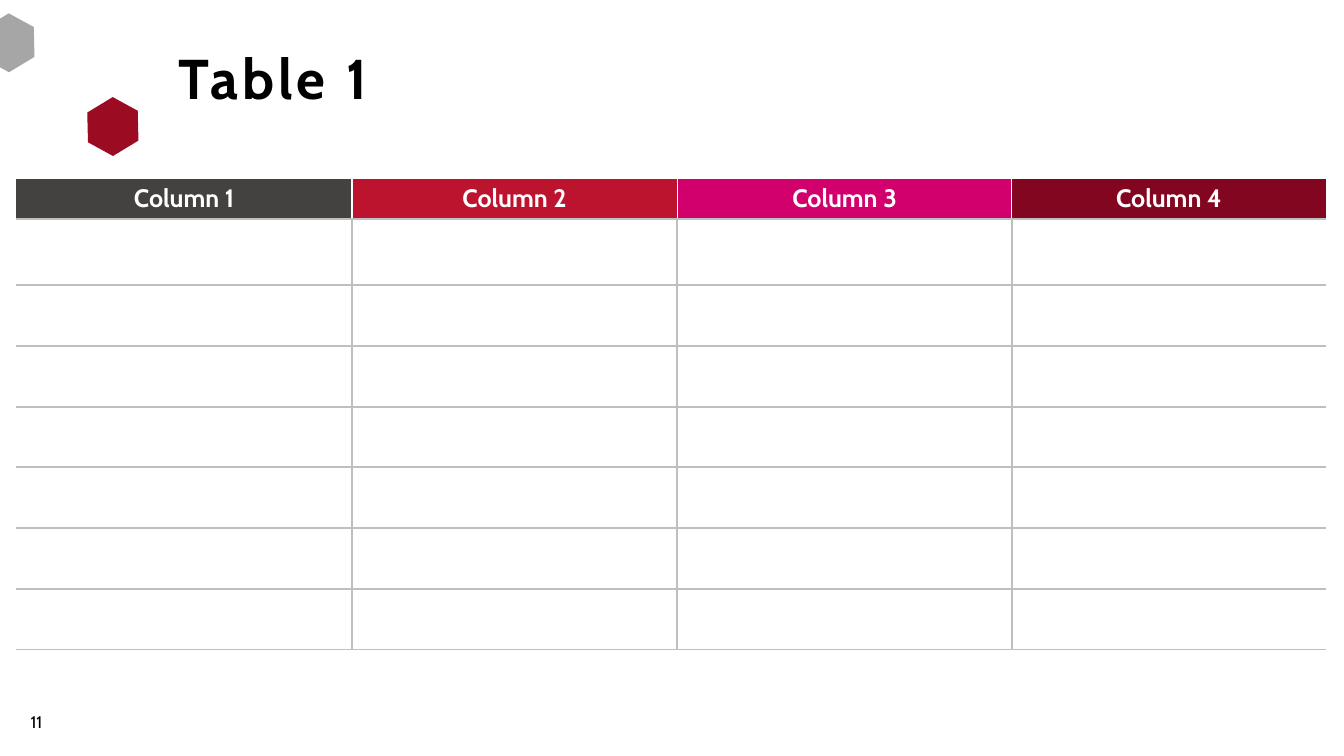
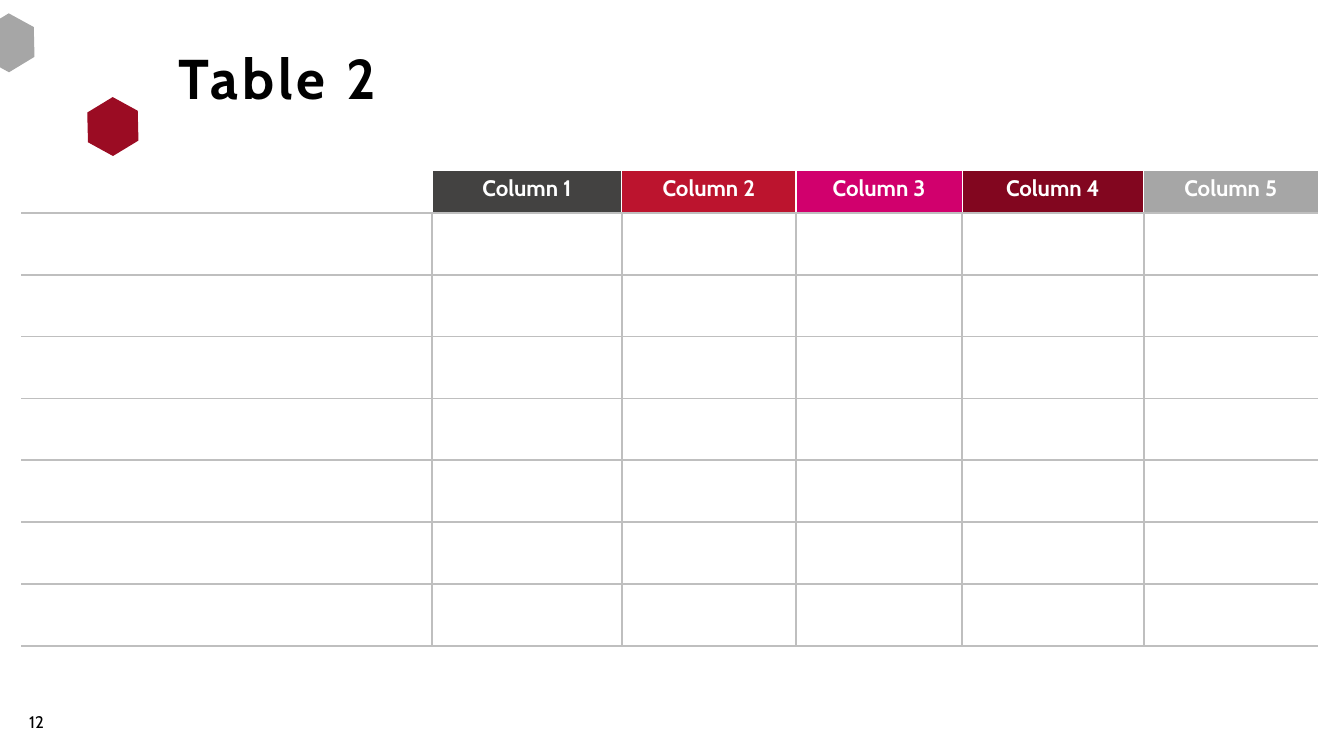
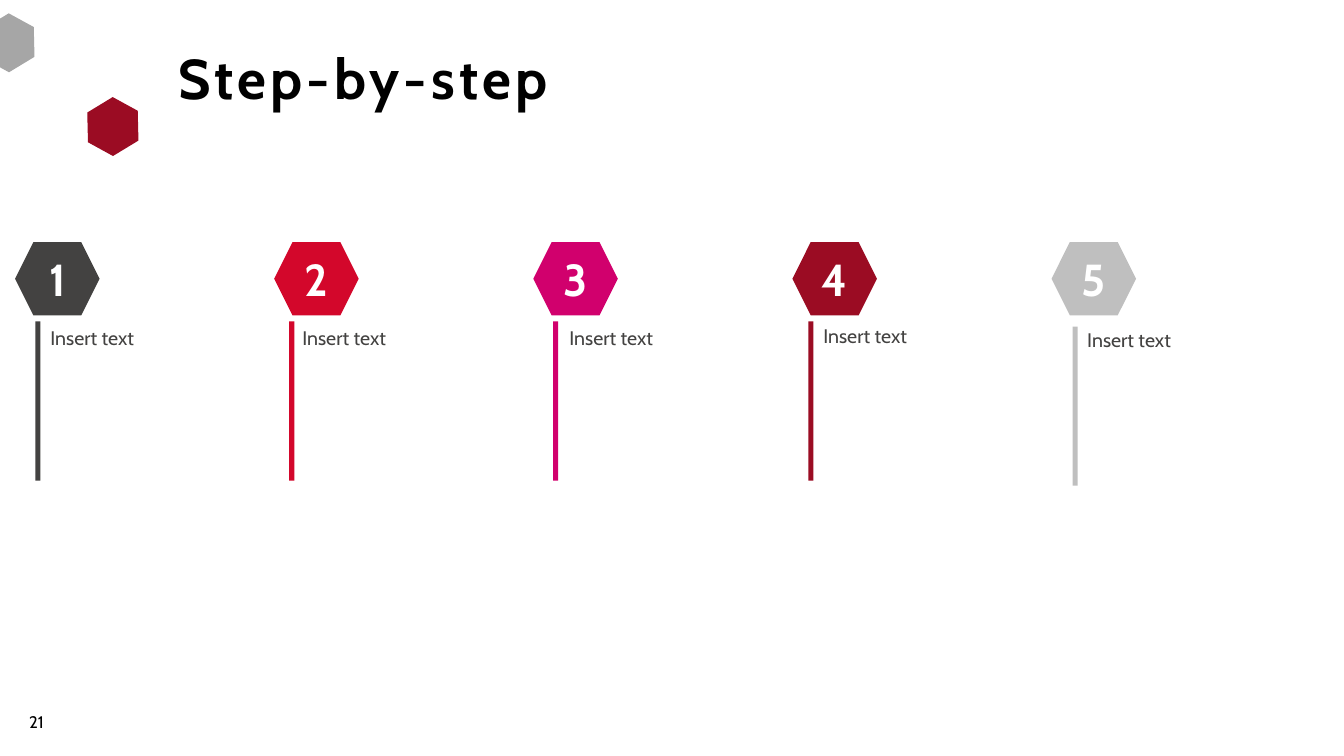
from pptx import Presentation
from pptx.dml.color import RGBColor
from pptx.enum.shapes import MSO_SHAPE
from pptx.enum.text import MSO_ANCHOR, PP_ALIGN
from pptx.oxml.ns import qn
from pptx.util import Cm, Pt
from lxml import etree

HEXAGON, RECTANGLE = MSO_SHAPE.HEXAGON, MSO_SHAPE.RECTANGLE
TOP, MIDDLE = MSO_ANCHOR.TOP, MSO_ANCHOR.MIDDLE
LEFT, CENTER = PP_ALIGN.LEFT, PP_ALIGN.CENTER

BLACK = RGBColor(0x00, 0x00, 0x00)
WHITE = RGBColor(0xFF, 0xFF, 0xFF)
CHARCOAL = RGBColor(0x43, 0x42, 0x41)
RED = RGBColor(0xBC, 0x14, 0x2E)
BRIGHT_RED = RGBColor(0xD3, 0x07, 0x2B)
MAGENTA = RGBColor(0xD1, 0x00, 0x6D)
MAROON = RGBColor(0x82, 0x06, 0x1F)
CRIMSON = RGBColor(0x9B, 0x0C, 0x23)
GREY = RGBColor(0xA6, 0xA6, 0xA6)
LIGHT_GREY = RGBColor(0xBF, 0xBF, 0xBF)

FONT = "Cabin"
TITLE_FORMAT = {"size": Pt(40), "bold": True}
NUMBER_FORMAT = {"size": Pt(12)}
STEP_FORMAT = {"size": Pt(32), "bold": True}
NOTE_FORMAT = {"size": Pt(14)}

# Content; lengths are in centimetres
CORNER_HEXAGONS = [(-0.51, 0.43, GREY), (2.11, 2.54, CRIMSON)]
HEADER_COLORS = [CHARCOAL, RED, MAGENTA, MAROON, GREY]
TABLES = [
    {"title": "Table 1", "number": 11, "at": (0.41, 4.5),
     "headers": ["Column 1", "Column 2", "Column 3", "Column 4"],
     "widths": [8.46, 8.2, 8.43, 7.92], "heights": [1, 1.67] + [1.53] * 6,
     "size": 18, "anchor": MIDDLE},
    {"title": "Table 2", "number": 12, "at": (0.53, 4.29),
     "headers": ["", "Column 1", "Column 2", "Column 3", "Column 4", "Column 5"],
     "widths": [10.36, 4.78, 4.39, 4.19, 4.57, 4.39], "heights": [1.07] + [1.56] * 7,
     "size": 16, "anchor": TOP},
]
# Text, colour, bar left and top, text left and top
STEPS = [
    ("Insert text", CHARCOAL, (0.89, 8.1), (1.02, 8.1)),
    ("Insert text", BRIGHT_RED, (7.29, 8.1), (7.37, 8.1)),
    ("Insert text", MAGENTA, (13.94, 8.1), (14.1, 8.1)),
    ("Insert text", CRIMSON, (20.37, 8.1), (20.5, 8.05)),
    ("Insert text", LIGHT_GREY, (27.03, 8.23), (27.15, 8.13)),
]
STEP_LEFT, STEP_PITCH, STEP_TOP = 0.38, 6.53, 6.1


def write(frame, text, color, formats, align=LEFT, anchor=MIDDLE):
    frame.word_wrap = True
    frame.vertical_anchor = anchor
    para = frame.paragraphs[0]
    para.alignment = align
    span = para.add_run()
    span.text = text
    span.font.name = FONT
    span.font.color.rgb = color
    for name, value in formats.items():
        setattr(span.font, name, value)
    return para


def no_margins(frame):
    for side in ("left", "top", "right", "bottom"):
        setattr(frame, "margin_" + side, 0)


def add_box(page, left, top, width, height):
    return page.shapes.add_textbox(Cm(left), Cm(top), Cm(width), Cm(height)).text_frame


def add_block(page, kind, left, top, width, height, color):
    shape = page.shapes.add_shape(kind, Cm(left), Cm(top), Cm(width), Cm(height))
    shape.shadow.inherit = False
    shape.fill.solid()
    shape.fill.fore_color.rgb = color
    shape.line.fill.background()
    return shape


def add_page(deck, title, number):
    page = deck.slides.add_slide(deck.slide_layouts[6])
    for left, top, color in CORNER_HEXAGONS:
        corner = add_block(page, HEXAGON, left, top, 1.47, 1.3, color)
        corner.adjustments[0] = 0.289
        corner.rotation = 28.7
    frame = add_box(page, 0.36, 17.91, 1.12, 0.58)
    no_margins(frame)
    write(frame, str(number), BLACK, NUMBER_FORMAT, CENTER)
    para = write(add_box(page, 4.24, 0.79, 28.58, 2.54), title, BLACK, TITLE_FORMAT)
    para.line_spacing = 0.9
    para.space_before = Pt(10)
    para.runs[0].font._element.set("spc", "300")
    return page


def set_borders(cell, borders):
    """Draw the given sides as (colour, points); the other sides stay empty."""
    properties = cell._tc.get_or_add_tcPr()
    for side in "LRTB":
        color, points = borders.get(side, (None, 0))
        line = etree.SubElement(properties, qn("a:ln" + side), w=str(int(Pt(points))))
        if color is None:
            etree.SubElement(line, qn("a:noFill"))
        else:
            fill = etree.SubElement(line, qn("a:solidFill"))
            etree.SubElement(fill, qn("a:srgbClr"), val=str(color))


def add_grid(page, grid):
    widths, heights = grid["widths"], grid["heights"]
    left, top = grid["at"]
    table = page.shapes.add_table(len(heights), len(widths), Cm(left), Cm(top),
                                  Cm(sum(widths)), Cm(sum(heights))).table
    table.first_row = table.horz_banding = False
    for column, width in zip(table.columns, widths):
        column.width = Cm(width)
    for row, height in zip(table.rows, heights):
        row.height = Cm(height)

    rule, gap = (LIGHT_GREY, 1.5), (WHITE, 1)
    colors = iter(HEADER_COLORS)
    last = len(widths) - 1
    for r in range(len(heights)):
        for c in range(len(widths)):
            cell = table.cell(r, c)
            edge = rule if r else gap
            borders = {"T": edge, "B": rule}
            if c > 0:
                borders["L"] = edge
            if c < last:
                borders["R"] = edge
            set_borders(cell, borders)
            header = grid["headers"][c] if r == 0 else ""
            if header:
                cell.fill.solid()
                cell.fill.fore_color.rgb = next(colors)
                cell.vertical_anchor = grid["anchor"]
                write(cell.text_frame, header, WHITE,
                      {"size": Pt(grid["size"]), "bold": True}, CENTER, grid["anchor"])
            else:
                cell.fill.background()


def add_steps(page):
    for index, (text, color, bar_at, text_at) in enumerate(STEPS):
        badge = add_block(page, HEXAGON, STEP_LEFT + index * STEP_PITCH, STEP_TOP,
                          2.13, 1.85, color)
        no_margins(badge.text_frame)
        write(badge.text_frame, str(index + 1), WHITE, STEP_FORMAT, CENTER)
        add_block(page, RECTANGLE, *bar_at, 0.13, 4.01, color)
        write(add_box(page, *text_at, 5.69, 4.01), text, CHARCOAL, NOTE_FORMAT, anchor=TOP)


def main():
    deck = Presentation()
    deck.slide_width, deck.slide_height = Cm(33.87), Cm(19.05)
    for grid in TABLES:
        add_grid(add_page(deck, grid["title"], grid["number"]), grid)
    add_steps(add_page(deck, "Step-by-step", 21))
    deck.save("out.pptx")


if __name__ == "__main__":
    main()
